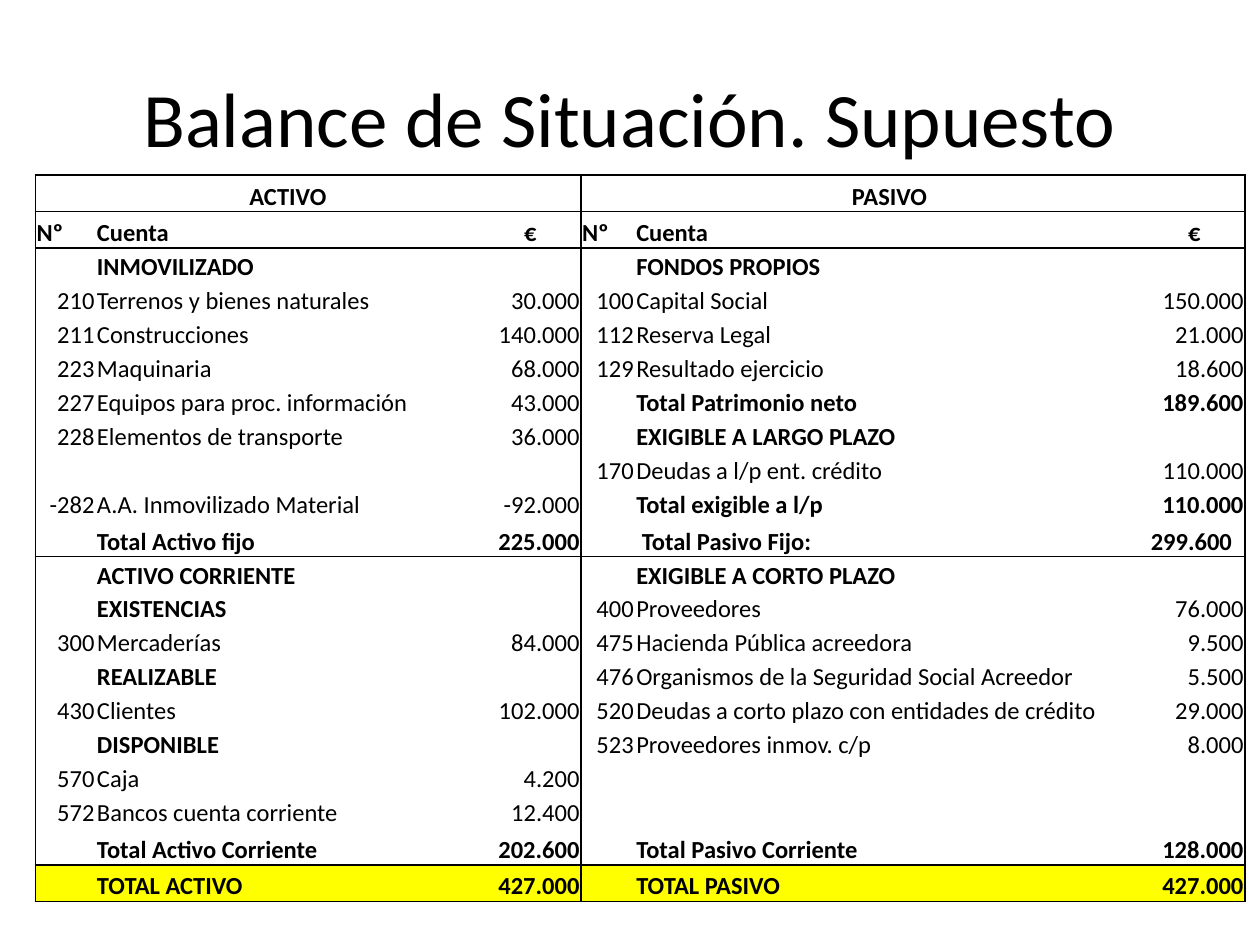
from lxml.etree import SubElement
from pptx import Presentation
from pptx.dml.color import RGBColor
from pptx.enum.text import MSO_ANCHOR, PP_ALIGN
from pptx.oxml.ns import qn
from pptx.util import Inches, Pt

COLORS = {"text": "000000", "rule": "000000", "total": "FFFF00"}
FONT = "Calibri"
NO_STYLE = "{2D5ABB26-0587-4C30-8999-92F81FD0307C}"
COLUMN_WIDTHS = [0.48, 3.05, 0.8, 0.43, 4.04, 0.8]
ROW_HEIGHT, TALL_ROW_HEIGHT = 0.27, 0.29

# Each line: number, account and amount for the assets, then for the liabilities
BALANCE = [
    ("", "ACTIVO", "", "", "PASIVO", ""),
    ("Nº", "Cuenta", "€", "Nº", "Cuenta", "€"),
    ("", "INMOVILIZADO", "", "", "FONDOS PROPIOS", ""),
    ("210", "Terrenos y bienes naturales", "30.000", "100", "Capital Social", "150.000"),
    ("211", "Construcciones", "140.000", "112", "Reserva Legal", "21.000"),
    ("223", "Maquinaria", "68.000", "129", "Resultado ejercicio", "18.600"),
    ("227", "Equipos para proc. información", "43.000", "", "Total Patrimonio neto", "189.600"),
    ("228", "Elementos de transporte", "36.000", "", "EXIGIBLE A LARGO PLAZO", ""),
    ("", "", "", "170", "Deudas a l/p ent. crédito", "110.000"),
    ("-282", "A.A. Inmovilizado Material", "-92.000", "", "Total exigible a l/p", "110.000"),
    ("", "Total Activo fijo", "225.000", "", " Total Pasivo Fijo:", " 299.600"),
    ("", "ACTIVO CORRIENTE", "", "", "EXIGIBLE A CORTO PLAZO", ""),
    ("", "EXISTENCIAS", "", "400", "Proveedores", "76.000"),
    ("300", "Mercaderías", "84.000", "475", "Hacienda Pública acreedora", "9.500"),
    ("", "REALIZABLE", "", "476", "Organismos de la Seguridad Social Acreedor", "5.500"),
    ("430", "Clientes", "102.000", "520", "Deudas a corto plazo con entidades de crédito", "29.000"),
    ("", "DISPONIBLE", "", "523", "Proveedores inmov. c/p", "8.000"),
    ("570", "Caja", "4.200", "", "", ""),
    ("572", "Bancos cuenta corriente", "12.400", "", "", ""),
    ("", "Total Activo Corriente", "202.600", "", "Total Pasivo Corriente", "128.000"),
    ("", "TOTAL ACTIVO", "427.000", "", "TOTAL PASIVO", "427.000"),
]
TITLE_ROW, HEADING_ROW, FIXED_TOTAL_ROW = 0, 1, 10
LAST_ROW = len(BALANCE) - 1
RULED_ROWS = {TITLE_ROW, HEADING_ROW, FIXED_TOTAL_ROW, LAST_ROW - 1, LAST_ROW}


def style_paragraph(para, size, bold=False, align=PP_ALIGN.LEFT):
    para.alignment = align
    para.font.name = FONT
    para.font.size = Pt(size)
    para.font.bold = bold
    para.font.color.rgb = RGBColor.from_string(COLORS["text"])


def add_title(page, text):
    box = page.shapes.add_textbox(Inches(0.5), Inches(0.3), Inches(9), Inches(1.25))
    frame = box.text_frame
    frame.word_wrap = True
    frame.vertical_anchor = MSO_ANCHOR.MIDDLE
    frame.text = text
    style_paragraph(frame.paragraphs[0], 44, align=PP_ALIGN.CENTER)


def set_borders(cell, sides):
    properties = cell._tc.get_or_add_tcPr()
    for side in ("L", "R", "T", "B"):
        line = SubElement(properties, qn(f"a:ln{side}"), w=str(Pt(1)))
        if side in sides:
            fill = SubElement(line, qn("a:solidFill"))
            SubElement(fill, qn("a:srgbClr"), val=COLORS["rule"])
        else:
            SubElement(line, qn("a:noFill"))


def border_sides(row, column):
    sides = {"L" if column % 3 == 0 else "", "R" if column % 3 == 2 else ""}
    if row == 0 or row - 1 in RULED_ROWS:
        sides.add("T")
    if row in RULED_ROWS:
        sides.add("B")
    return sides


def cell_alignment(row, column, text):
    if row == TITLE_ROW or (row == HEADING_ROW and column % 3 == 2):
        return PP_ALIGN.CENTER
    # Amounts and numbers go right, except the one padded with a hard space
    if row > HEADING_ROW and column % 3 != 1 and text == text.strip():
        return PP_ALIGN.RIGHT
    return PP_ALIGN.LEFT


def fill_cell(cell, row, column):
    text = BALANCE[row][column]
    number = BALANCE[row][column // 3 * 3]
    set_borders(cell, border_sides(row, column))
    cell.margin_left = cell.margin_right = cell.margin_top = Inches(0.01)
    cell.margin_bottom = 0
    cell.vertical_anchor = MSO_ANCHOR.BOTTOM
    if row == LAST_ROW:
        cell.fill.solid()
        cell.fill.fore_color.rgb = RGBColor.from_string(COLORS["total"])
    else:
        cell.fill.background()
    para = cell.text_frame.paragraphs[0]
    if text:
        cell.text = text
        para = cell.text_frame.paragraphs[0]
        # Numbered accounts are plain; headings and totals are bold
        bold = row <= HEADING_ROW or not number
        style_paragraph(para, 14, bold, cell_alignment(row, column, text))
    else:
        # Keeps empty cells from stretching their row
        SubElement(para._p, qn("a:endParaRPr"), sz="1400")


def add_balance_table(page):
    heights = [TALL_ROW_HEIGHT if row in RULED_ROWS else ROW_HEIGHT
               for row in range(len(BALANCE))]
    shape = page.shapes.add_table(
        len(BALANCE), len(COLUMN_WIDTHS), Inches(0.28), Inches(1.39),
        Inches(sum(COLUMN_WIDTHS)), Inches(sum(heights)))
    table = shape.table
    table.first_row = table.horz_banding = False
    for style in shape.element.iter(qn("a:tableStyleId")):
        style.text = NO_STYLE
    for column, width in zip(table.columns, COLUMN_WIDTHS):
        column.width = Inches(width)
    for row, height in enumerate(heights):
        table.rows[row].height = Inches(height)
        for column in range(len(COLUMN_WIDTHS)):
            fill_cell(table.cell(row, column), row, column)


def main():
    deck = Presentation()
    deck.slide_width, deck.slide_height = Inches(10), Inches(7.5)
    page = deck.slides.add_slide(deck.slide_layouts[6])
    add_title(page, "Balance de Situación. Supuesto")
    add_balance_table(page)
    deck.save("out.pptx")


if __name__ == "__main__":
    main()
